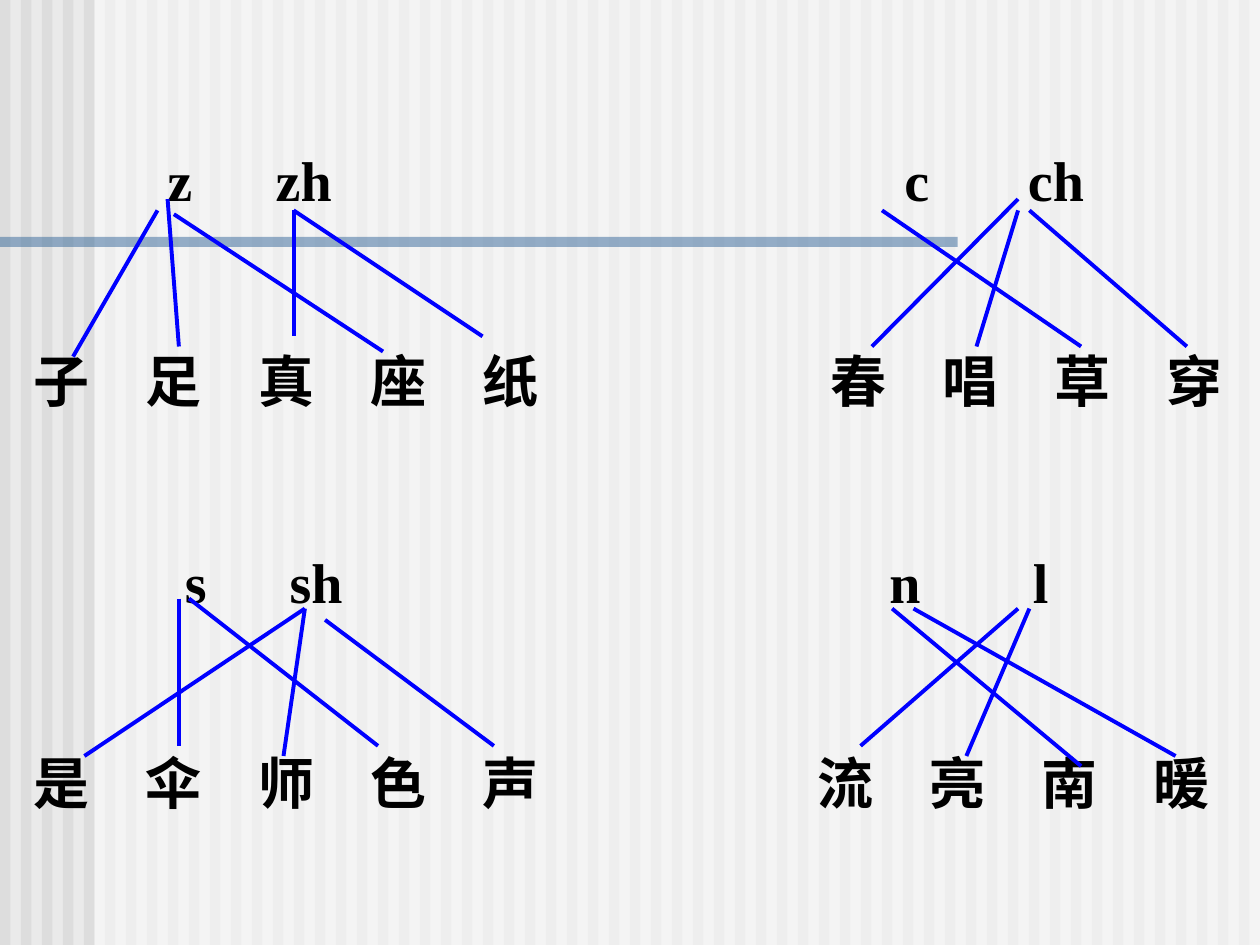
"""Build a slide matching pinyin initials to Chinese characters with lines."""
from lxml.etree import SubElement
from pptx import Presentation
from pptx.dml.color import RGBColor
from pptx.enum.shapes import MSO_CONNECTOR as Connector, MSO_SHAPE as Shape
from pptx.oxml.ns import qn
from pptx.util import Inches, Pt

COLORS = {"background": "EAEAEA", "stripe": "DDDDDD", "panel": "FFFFFF",
          "band": "336699", "text": "000000", "link": "0000FF"}
FONT = "Times New Roman"
STRIPE_COUNT = 60
STRIPE_PITCH = 1 / 6
CHARACTER_PITCH = 0.89

INITIAL_ROWS = [
    (["z", "zh", "c", "ch"], [1.06, 1.92, 6.91, 7.89]),
    (["s", "sh", "n", "l"], [1.2, 2.03, 6.79, 7.93]),
]
CHARACTER_ROWS = [
    ("子足真座纸", "春唱草穿", 6.32),
    ("是伞师色声", "流亮南暖", 6.22),
]
LINKS = {
    "z": [(1.33, 1.58, 1.42, 2.75), (1.25, 1.67, 0.58, 2.83), (1.38, 1.7, 3.04, 2.79)],
    "zh": [(2.33, 1.67, 2.33, 2.67), (2.33, 1.67, 3.83, 2.67)],
    "c": [(7, 1.67, 8.58, 2.75)],
    "ch": [(8.08, 1.58, 6.92, 2.75), (8.08, 1.67, 7.75, 2.75), (8.17, 1.67, 9.42, 2.75)],
    "s": [(1.42, 4.75, 1.42, 5.92), (1.5, 4.75, 3, 5.92)],
    "sh": [(2.42, 4.83, 0.67, 6), (2.42, 4.83, 2.25, 6), (2.58, 4.92, 3.92, 5.92)],
    "n": [(7.08, 4.83, 8.58, 6.08), (7.25, 4.83, 9.33, 6)],
    "l": [(8.08, 4.83, 6.83, 5.92), (8.17, 4.83, 7.67, 6)],
}


def color(name):
    return RGBColor.from_string(COLORS[name])


def add_rectangle(slide, left, top, width, height, name, opacity=None):
    shape = slide.shapes.add_shape(
        Shape.RECTANGLE, Inches(left), Inches(top), Inches(width), Inches(height))
    shape.shadow.inherit = False
    shape.fill.solid()
    shape.fill.fore_color.rgb = color(name)
    shape.line.fill.background()
    if opacity is not None:
        fill_color = shape._element.spPr.find(qn("a:solidFill"))[0]
        SubElement(fill_color, qn("a:alpha"), val=str(opacity * 1000))


def add_link(slide, ends):
    link = slide.shapes.add_connector(Connector.STRAIGHT, *map(Inches, ends))
    link.line.color.rgb = color("link")
    link.line.width = Pt(2.25)
    SubElement(link._element.spPr, qn("a:effectLst"))


def text_rows():
    for (initials, stops), (left, right, right_start) in zip(INITIAL_ROWS, CHARACTER_ROWS):
        yield "\t" + "\t".join(initials), stops
        left_stops = [CHARACTER_PITCH * i for i in range(1, len(left))]
        right_stops = [right_start + CHARACTER_PITCH * i for i in range(len(right))]
        yield "\t".join(left + right), left_stops + right_stops


def add_text(slide):
    box = slide.shapes.add_textbox(Inches(0.17), Inches(1.08), Inches(9.83), Inches(5.44))
    frame = box.text_frame
    frame.word_wrap = True
    for index, (text, stops) in enumerate(text_rows()):
        paragraph = frame.add_paragraph() if index else frame.paragraphs[0]
        paragraph.text = text
        tabs = SubElement(paragraph._p.get_or_add_pPr(), qn("a:tabLst"))
        for stop in stops:
            SubElement(tabs, qn("a:tab"), pos=str(Inches(stop)), algn="l")
        paragraph.line_spacing = Pt(40)
        if index:
            paragraph.space_before = Pt(75)
        for run in paragraph.runs:
            run.font.name = FONT
            run.font.size = Pt(32)
            run.font.bold = True
            run.font.color.rgb = color("text")


def main():
    presentation = Presentation()
    presentation.slide_width, presentation.slide_height = Inches(10), Inches(7.5)
    slide = presentation.slides.add_slide(presentation.slide_layouts[6])
    slide.background.fill.solid()
    slide.background.fill.fore_color.rgb = color("background")
    for index in range(STRIPE_COUNT):
        add_rectangle(slide, index * STRIPE_PITCH, 0, STRIPE_PITCH / 2, 7.5, "stripe")
    add_rectangle(slide, 0.75, 0, 9.25, 7.5, "panel", 50)
    add_rectangle(slide, 0, 1.88, 7.6, 0.08, "band", 50)
    add_text(slide)
    for links in LINKS.values():
        for ends in links:
            add_link(slide, ends)
    presentation.save("out.pptx")


if __name__ == "__main__":
    main()
